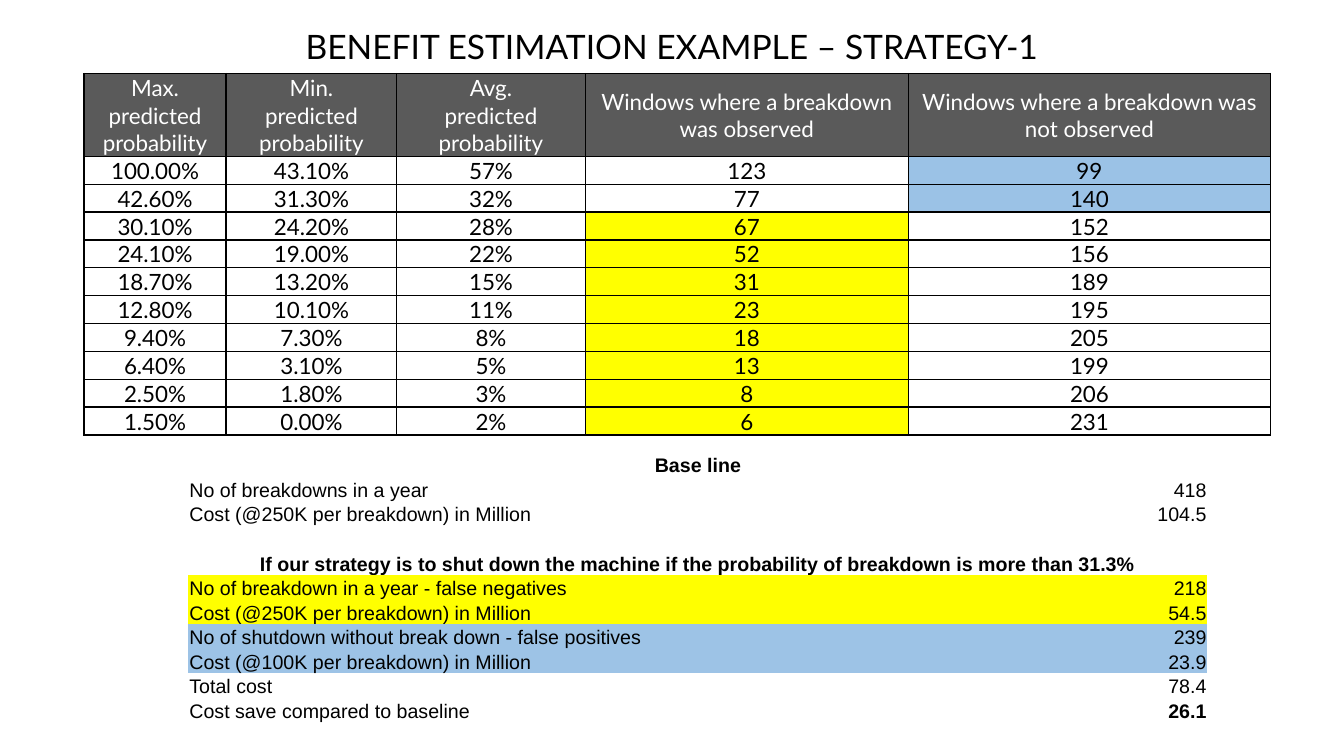
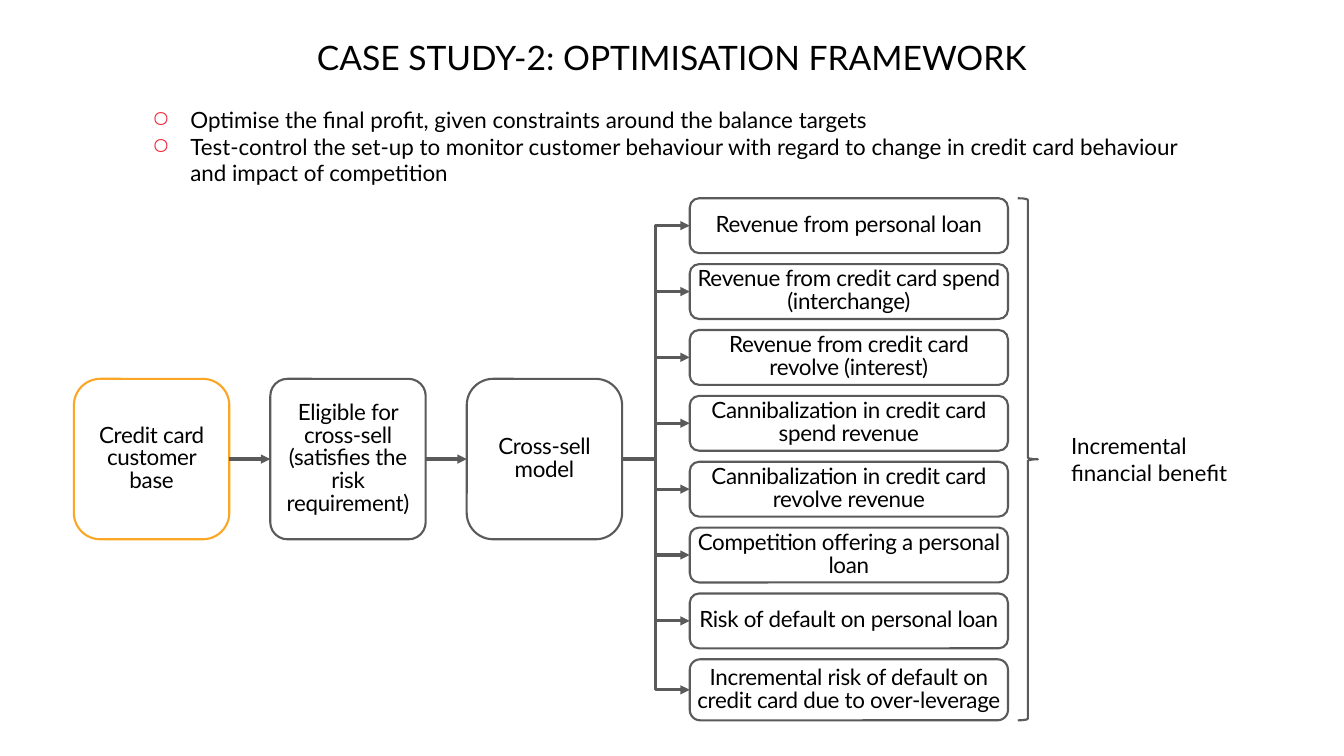
from lxml.etree import SubElement
from pptx import Presentation
from pptx.dml.color import RGBColor
from pptx.enum.shapes import MSO_CONNECTOR, MSO_SHAPE
from pptx.enum.text import MSO_ANCHOR, PP_ALIGN
from pptx.oxml.ns import qn
from pptx.util import Pt

COLORS = {
    "black": "000000",
    "white": "FFFFFF",
    "gray": "5A5A5A",
    "orange": "FAA726",
    "red": "EE283C",
    "yellow": "FFFF00",
    "blue": "9BC2E6",
    "sky": "9DC3E6",
}
NO_TABLE_STYLE = "{2D5ABB26-0587-4C30-8999-92F81FD0307C}"
LEFT_SIDE, RIGHT_SIDE = 1, 3

HEADINGS = [
    ["Max.", "Min.", "Avg.", "Windows where a breakdown was observed",
     "Windows where a breakdown was not observed"],
    ["predicted probability"] * 3 + ["", ""],
]
PROBABILITIES = [
    ["100.00%", "43.10%", "57%", "123", "99"],
    ["42.60%", "31.30%", "32%", "77", "140"],
    ["30.10%", "24.20%", "28%", "67", "152"],
    ["24.10%", "19.00%", "22%", "52", "156"],
    ["18.70%", "13.20%", "15%", "31", "189"],
    ["12.80%", "10.10%", "11%", "23", "195"],
    ["9.40%", "7.30%", "8%", "18", "205"],
    ["6.40%", "3.10%", "5%", "13", "199"],
    ["2.50%", "1.80%", "3%", "8", "206"],
    ["1.50%", "0.00%", "2%", "6", "231"],
]
SHUTDOWN_BANDS = 2
COSTS = [
    ("Base line", None, None),
    ("No of breakdowns in a year", "418", None),
    ("Cost (@250K per breakdown) in Million", "104.5", None),
    ("", "", None),
    ("If our strategy is to shut down the machine if the probability of "
     "breakdown is more than 31.3%", None, None),
    ("No of breakdown in a year - false negatives", "218", "yellow"),
    ("Cost (@250K per breakdown) in Million", "54.5", "yellow"),
    ("No of shutdown without break down - false positives", "239", "sky"),
    ("Cost (@100K per breakdown) in Million", "23.9", "sky"),
    ("Total cost", "78.4", None),
    ("Cost save compared to baseline", "26.1", None),
]
GOALS = [
    "Optimise the final profit, given constraints around the balance targets",
    "Test-control the set-up to monitor customer behaviour with regard to "
    "change in credit card behaviour and impact of competition",
]
STAGES = [
    ("Credit card customer base", "orange", 0.17),
    ("Eligible for cross-sell (satisfies the risk requirement)", "gray", 0.11),
    ("Cross-sell model", "gray", 0.17),
]
OUTCOMES = [
    "Revenue from personal loan",
    "Revenue from credit card spend (interchange)",
    "Revenue from credit card revolve (interest)",
    "Cannibalization in credit card spend revenue",
    "Cannibalization in credit card revolve revenue",
    "Competition offering a personal loan",
    "Risk of default on personal loan",
    "Incremental risk of default on credit card due to over-leverage",
]


def rgb(name):
    """Return the named colour."""
    return RGBColor.from_string(COLORS[name])


class Deck:
    """Hold the shared style and the current slide."""

    font = "Lato"
    title_size = 24
    body_size = 16
    cell_margin = 0.7

    def __init__(self):
        """Start an empty widescreen presentation."""
        self.presentation = Presentation()
        self.presentation.slide_width = Pt(960)
        self.presentation.slide_height = Pt(540)
        self.slide = None

    def new_slide(self, title, left, top, width):
        """Add a blank slide with a centred title."""
        self.slide = self.presentation.slides.add_slide(self.presentation.slide_layouts[6])
        self.text([title], left, top, width, 36, size=self.title_size,
                  align=PP_ALIGN.CENTER, side_margin=3.6)

    def add_run(self, paragraph, text, size=body_size, font=font, color="black",
                bold=False, align=PP_ALIGN.LEFT):
        """Add one styled run to a paragraph."""
        paragraph.alignment = align
        if not text:
            SubElement(paragraph._p, qn("a:endParaRPr"), sz=str(size * 100))
            return None
        run = paragraph.add_run()
        run.text = text
        run.font.size = Pt(size)
        run.font.name = font
        run.font.bold = bold
        run.font.color.rgb = rgb(color)
        return run

    def text(self, lines, left, top, width, height, side_margin=7.2, bullet=None, **style):
        """Add a wrapped text box, with bullets if a character is given."""
        shape = self.slide.shapes.add_textbox(Pt(left), Pt(top), Pt(width), Pt(height))
        frame = shape.text_frame
        frame.word_wrap = True
        frame.margin_left = frame.margin_right = Pt(side_margin)
        frame.margin_top = frame.margin_bottom = Pt(3.6)
        for index, line in enumerate(lines):
            paragraph = frame.add_paragraph() if index else frame.paragraphs[0]
            if bullet:
                self.bullet(paragraph, bullet)
            self.add_run(paragraph, line, **style)

    def bullet(self, paragraph, character):
        """Give a paragraph a red bullet and a hanging indent."""
        paragraph.line_spacing = 0.98
        properties = paragraph._p.get_or_add_pPr()
        properties.set("marL", str(Pt(27.4)))
        properties.set("indent", str(Pt(-27.4)))
        color = SubElement(properties, qn("a:buClr"))
        SubElement(color, qn("a:srgbClr"), val=COLORS["red"])
        SubElement(properties, qn("a:buChar"), char=character)

    def outline(self, kind, left, top, width, height, color="gray"):
        """Add an unfilled preset shape."""
        shape = self.slide.shapes.add_shape(kind, Pt(left), Pt(top), Pt(width), Pt(height))
        shape.shadow.inherit = False
        shape.fill.background()
        shape.line.color.rgb = rgb(color)
        shape.line.width = Pt(1.5)
        return shape

    def box(self, text, left, top, width, height, color="gray", corner=0.17):
        """Add a rounded box with tight centred text."""
        shape = self.outline(MSO_SHAPE.ROUNDED_RECTANGLE, left, top, width, height, color)
        shape.adjustments[0] = corner
        frame = shape.text_frame
        frame.word_wrap = True
        frame.vertical_anchor = MSO_ANCHOR.MIDDLE
        frame.margin_left = frame.margin_right = Pt(self.cell_margin)
        frame.margin_top = frame.margin_bottom = Pt(self.cell_margin)
        paragraph = frame.paragraphs[0]
        paragraph.line_spacing = 0.85
        run = self.add_run(paragraph, text, align=PP_ALIGN.CENTER)
        run._r.get_or_add_rPr().set("spc", "-20")
        return shape

    def brace(self, left, top, width, height):
        """Add a right brace."""
        shape = self.outline(MSO_SHAPE.RIGHT_BRACE, left, top, width, height)
        shape.adjustments[0] = 0.08

    def arrow(self, source, target, kind=MSO_CONNECTOR.STRAIGHT):
        """Join the right side of one box to the left side of another."""
        connector = self.slide.shapes.add_connector(
            kind, source.left + source.width, source.top + source.height // 2,
            target.left, target.top + target.height // 2)
        connector.begin_connect(source, RIGHT_SIDE)
        connector.end_connect(target, LEFT_SIDE)
        connector.line.color.rgb = rgb("gray")
        connector.line.width = Pt(2.25)
        properties = connector._element.spPr
        SubElement(properties.find(qn("a:ln")), qn("a:tailEnd"), type="triangle")
        SubElement(properties, qn("a:effectLst"))

    def table(self, left, top, widths, heights):
        """Add an unstyled table with the given column widths and row heights."""
        frame = self.slide.shapes.add_table(
            len(heights), len(widths), Pt(left), Pt(top), Pt(sum(widths)), Pt(sum(heights)))
        table = frame.table
        table.first_row = table.horz_banding = False
        table._tbl.tblPr.find(qn("a:tableStyleId")).text = NO_TABLE_STYLE
        for column, width in zip(table.columns, widths):
            column.width = Pt(width)
        for row, height in zip(table.rows, heights):
            row.height = Pt(height)
        return table

    def cell(self, cell, text, fill=None, edges="", anchor=MSO_ANCHOR.MIDDLE, **style):
        """Fill in one table cell; edges lists its ruled sides."""
        cell.margin_left = cell.margin_right = cell.margin_top = Pt(self.cell_margin)
        cell.margin_bottom = 0
        cell.vertical_anchor = anchor
        properties = cell._tc.get_or_add_tcPr()
        for edge in edges:
            line = SubElement(properties, qn(f"a:ln{edge}"), w=str(Pt(1)))
            solid = SubElement(line, qn("a:solidFill"))
            SubElement(solid, qn("a:srgbClr"), val=COLORS["black"])
        if fill:
            cell.fill.solid()
            cell.fill.fore_color.rgb = rgb(fill)
        else:
            cell.fill.background()
        self.add_run(cell.text_frame.paragraphs[0], text, **style)


def probability_table(deck):
    """Add the table of predicted probabilities."""
    rows = HEADINGS + PROBABILITIES
    table = deck.table(60, 52.5, [101.5, 122, 134.5, 231, 258.5],
                       [19.7, 39.3] + [19.7] * len(PROBABILITIES))
    for column in (3, 4):
        table.cell(0, column).merge(table.cell(1, column))
    for row, values in enumerate(rows):
        band = row - len(HEADINGS)
        for column, value in enumerate(values):
            cell = table.cell(row, column)
            edges, fill, color = "LRTB", None, "black"
            if band < 0:
                fill, color = "gray", "white"
                if not cell.is_merge_origin:
                    edges = "LRB" if row else "LRT"
            elif column == 3 and band >= SHUTDOWN_BANDS:
                fill = "yellow"
            elif column == 4 and band < SHUTDOWN_BANDS:
                fill = "blue"
            deck.cell(cell, value, fill, edges, color=color, align=PP_ALIGN.CENTER)


def cost_table(deck):
    """Add the cost comparison."""
    table = deck.table(134.6, 323.3, [648.7, 79.2], [17.4] * len(COSTS))
    style = {"size": 14, "font": "Arial", "anchor": MSO_ANCHOR.BOTTOM}
    for row, (label, value, fill) in enumerate(COSTS):
        first, second = table.cell(row, 0), table.cell(row, 1)
        if value is None:
            first.merge(second)
            deck.cell(first, label, bold=True, align=PP_ALIGN.CENTER, **style)
            continue
        deck.cell(first, label, fill, **style)
        deck.cell(second, value, fill, bold=row == len(COSTS) - 1,
                  align=PP_ALIGN.RIGHT, **style)


def framework(deck):
    """Add the flow from customer base to financial benefit."""
    stages = [deck.box(text, 52.8 + 140.3 * index, 270.6, 111, 114.6, color, corner)
              for index, (text, color, corner) in enumerate(STAGES)]
    for source, target in zip(stages, stages[1:]):
        deck.arrow(source, target)
    top, pitch, height, last_height = 141.6, 47.05, 39.2, 43.6
    for index, text in enumerate(OUTCOMES):
        is_last = index == len(OUTCOMES) - 1
        outcome = deck.box(text, 492.7, top + pitch * index, 227.3,
                           last_height if is_last else height)
        deck.arrow(stages[-1], outcome, MSO_CONNECTOR.ELBOW)
    deck.brace(727, top, 14.4, pitch * (len(OUTCOMES) - 1) + last_height)
    deck.text(["Incremental financial benefit"], 758, 305.3, 129.6, 46)


def main():
    """Build and save both slides."""
    deck = Deck()
    deck.new_slide("BENEFIT ESTIMATION EXAMPLE – STRATEGY-1", 74.2, 15.1, 811.4)
    probability_table(deck)
    cost_table(deck)
    deck.new_slide("CASE STUDY-2: OPTIMISATION FRAMEWORK", 121, 23, 717.8)
    deck.text(GOALS, 101.5, 73.4, 756.7, 67.7, bullet="○")
    framework(deck)
    deck.presentation.save("out.pptx")


if __name__ == "__main__":
    main()
